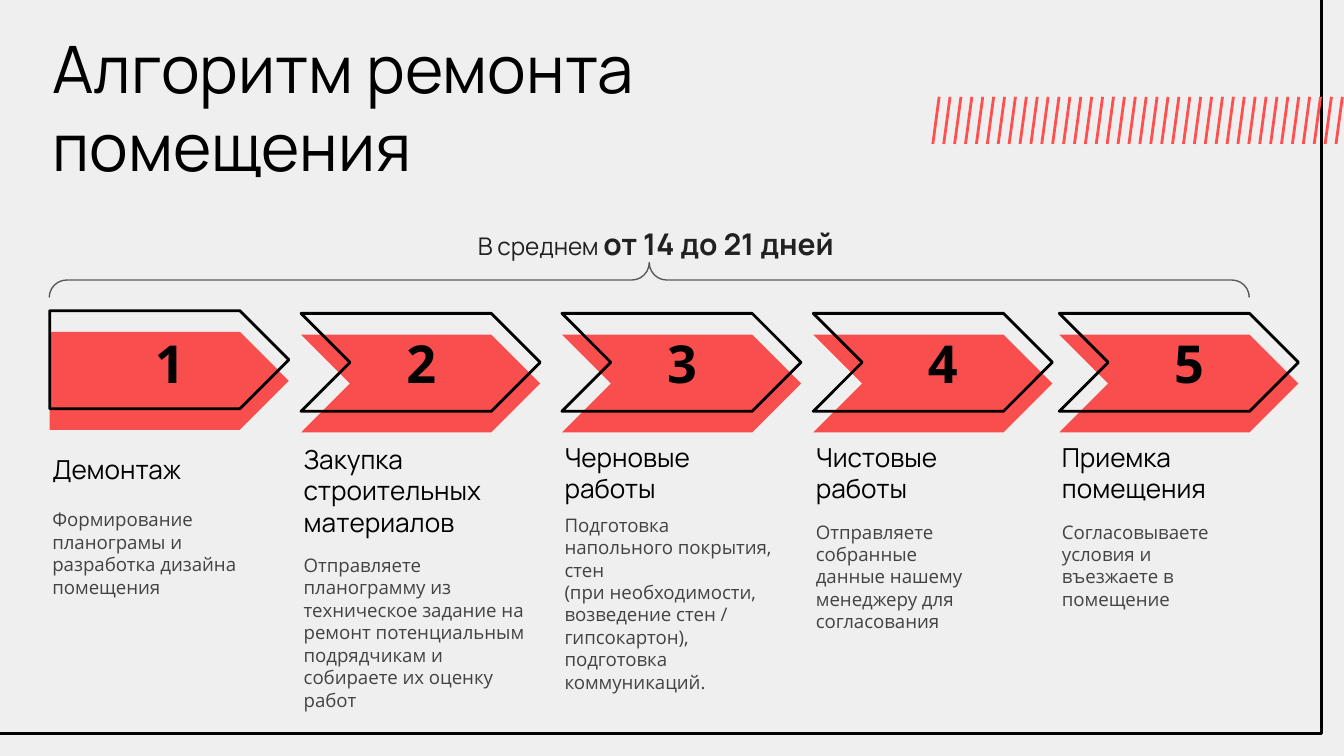
"""Builds a slide with the five steps of a room renovation."""
import pptx
import pptx.dml.color
import pptx.enum.shapes
import pptx.enum.text
import pptx.oxml.ns
import pptx.util
from lxml import etree

Cm = pptx.util.Cm
Pt = pptx.util.Pt
SHAPES = pptx.enum.shapes.MSO_SHAPE
ALIGN = pptx.enum.text.PP_ALIGN
ANCHOR = pptx.enum.text.MSO_ANCHOR
COLORS = {"paper": "EFEFEF", "ink": "000000", "body": "434343", "period": "212121",
          "brace": "595959", "arrow": "FF0000", "hatch": "FF4F4F"}


def write(box, text, font="Manrope", size=14, color="ink", bold=False,
          align=ALIGN.LEFT, anchor=ANCHOR.TOP, spacing=None):
    """Append text to the first paragraph of a box."""
    frame = box.text_frame
    frame.word_wrap = True
    frame.auto_size = pptx.enum.text.MSO_AUTO_SIZE.NONE
    frame.vertical_anchor = anchor
    frame.margin_left = frame.margin_right = Cm(0.25)
    frame.margin_top = frame.margin_bottom = Cm(0.25)
    para = frame.paragraphs[0]
    para.alignment = align
    para.space_before = Pt(0)
    para.line_spacing = spacing
    for index, line in enumerate(text.split("\n")):
        if index:
            para.add_line_break()
        span = para.add_run()
        span.text = line
        span.font.name = font
        span.font.size = Pt(size)
        span.font.bold = bold
        span.font.color.rgb = pptx.dml.color.RGBColor.from_string(COLORS[color])


def paint(shape, fill=None, line=None, width=1.5, opacity=100):
    """Set the fill and outline of a shape and remove its shadow."""
    shape.shadow.inherit = False
    if fill:
        shape.fill.solid()
        shape.fill.fore_color.rgb = pptx.dml.color.RGBColor.from_string(COLORS[fill])
        tint = shape.fill._xPr.find(".//" + pptx.oxml.ns.qn("a:srgbClr"))
        etree.SubElement(tint, pptx.oxml.ns.qn("a:alpha"), val=str(opacity * 1000))
    else:
        shape.fill.background()
    if line:
        shape.line.color.rgb = pptx.dml.color.RGBColor.from_string(COLORS[line])
        shape.line.width = Pt(width)
    else:
        shape.line.fill.background()


deck = pptx.Presentation()
deck.slide_width, deck.slide_height = Cm(25.4), Cm(14.28)
page = deck.slides.add_slide(deck.slide_layouts[0])
page.background.fill.solid()
page.background.fill.fore_color.rgb = pptx.dml.color.RGBColor.from_string(COLORS["paper"])

title = page.shapes.title
title.left, title.top, title.width, title.height = Cm(0.74), Cm(0.28), Cm(17.3), Cm(3.76)
write(title, "Алгоритм ремонта помещения", size=35)

period = page.placeholders[1]
period.left, period.top, period.width, period.height = Cm(8.46), Cm(3.68), Cm(7.87), Cm(1.12)
write(period, "В среднем ", size=13, color="period", align=ALIGN.CENTER, spacing=1.5)
write(period, "от 14 до 21 дней", size=16, color="period", bold=True,
      align=ALIGN.CENTER, spacing=1.5)

border = page.shapes.add_shape(SHAPES.RECTANGLE, Cm(-0.3), Cm(-0.3), Cm(25.27), Cm(14.15))
paint(border, line="ink")

hatch = page.shapes.add_group_shape()
for index in range(38):
    x = 17.75 + index * 7.62 / 37
    outline = hatch.shapes.build_freeform(Cm(x), Cm(1.83))
    outline.add_line_segments([(Cm(x - 0.12), Cm(2.72))], close=False)
    paint(outline.convert_to_shape(), line="hatch")

brace = page.shapes.add_shape(SHAPES.LEFT_BRACE, Cm(11.94), Cm(-6.05), Cm(0.66), Cm(22.68))
brace.adjustments[0] = brace.adjustments[1] = 0.5
brace.rotation = 90
paint(brace, line="brace", width=0.75)

steps = [
    (0.94, 5.87, 1.7, "Демонтаж", 4.75, 1.45,
     "Формирование планограмы и разработка дизайна помещения", 9.35, 4.14, 3),
    (5.69, 5.92, 1.7, "Закупка строительных материалов", 4.52, 2.26,
     "Отправляете планограмму из техническое задание на ремонт потенциальным "
     "подрядчикам и собираете их оценку работ", 10.21, 4.75, 3),
    (10.62, 5.92, 1.7, "Черновые работы", 3.68, 1.6,
     "Подготовка напольного покрытия, стен\n(при необходимости, возведение стен / "
     "гипсокартон), подготовка коммуникаций.", 9.45, 4.5, 3.76),
    (15.37, 5.92, 2.06, "Чистовые работы", 4.52, 1.6,
     "Отправляете собранные данные нашему менеджеру для согласования", 9.58, 3.68, 2.62),
    (20.02, 5.92, 2.06, "Приемка помещения", 4.52, 1.6,
     "Согласовываете условия и въезжаете в помещение", 9.58, 3.68, 2.26),
]
for number, step in enumerate(steps, 1):
    (left, top, number_width, heading, heading_width, heading_height,
     detail, detail_top, detail_width, detail_height) = step
    kind = SHAPES.PENTAGON if number == 1 else SHAPES.CHEVRON
    arrow = page.shapes.add_group_shape()
    solid = arrow.shapes.add_shape(kind, Cm(left), Cm(top + 0.4), Cm(4.52), Cm(1.85))
    paint(solid, fill="arrow", opacity=67)
    contour = arrow.shapes.add_shape(kind, Cm(left), Cm(top), Cm(4.52), Cm(1.85))
    paint(contour, line="ink")

    box = page.shapes.add_textbox(Cm(left + 1.42), Cm(6.45), Cm(number_width), Cm(0.79))
    write(box, str(number), font="Open Sans", size=28, bold=True,
          align=ALIGN.CENTER, anchor=ANCHOR.MIDDLE)
    box = page.shapes.add_textbox(Cm(left - 0.2), Cm(8.13), Cm(heading_width), Cm(heading_height))
    write(box, heading, anchor=ANCHOR.MIDDLE)
    box = page.shapes.add_textbox(Cm(left - 0.2), Cm(detail_top),
                                  Cm(detail_width), Cm(detail_height))
    write(box, detail, font="Open Sans", size=10, color="body")

deck.save("out.pptx")
